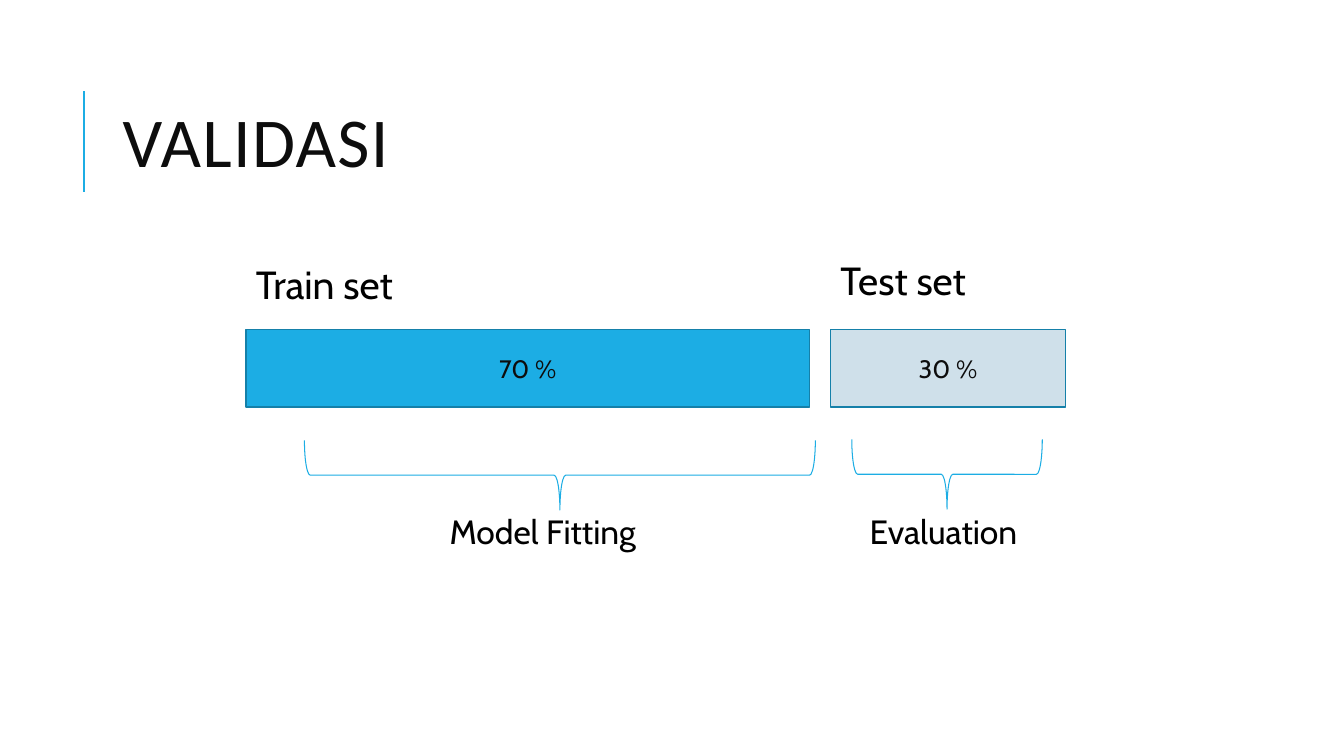
import pptx
import pptx.util
import pptx.dml.color
import pptx.enum.shapes
import pptx.enum.text
import pptx.oxml.xmlchemy

SHAPE = pptx.enum.shapes.MSO_SHAPE
ALIGN = pptx.enum.text.PP_ALIGN
ANCHOR = pptx.enum.text.MSO_ANCHOR
Pt = pptx.util.Pt


def color(value):
    return pptx.dml.color.RGBColor.from_string(value)


def apply(target, formats):
    for name, value in formats.items():
        setattr(target, name, value)


class SlideBuilder:
    """Hold the slide and its style, and draw each kind of element."""

    accent, outline, ink, black = "1CADE4", "1580A9", "0D0D0D", "000000"
    body_font, title_font = "Cabin", "Calibri"

    def __init__(self, deck):
        self.page = deck.slides.add_slide(deck.slide_layouts[6])

    def set_text(self, shape, text, size, ink, font=None, align=ALIGN.LEFT,
                 anchor=ANCHOR.TOP, line_spacing=None, tracking=None):
        apply(shape.text_frame, {"word_wrap": True, "vertical_anchor": anchor})
        para = shape.text_frame.paragraphs[0]
        apply(para, {"alignment": align, "line_spacing": line_spacing})
        span = para.add_run()
        span.text = text
        apply(span.font, {"name": font or self.body_font, "size": Pt(size)})
        span.font.color.rgb = color(ink)
        if tracking:
            span.font._element.set("spc", str(tracking * 100))

    def label(self, left, top, width, height, text, size, ink=black, **formats):
        box = self.page.shapes.add_textbox(Pt(left), Pt(top), Pt(width), Pt(height))
        self.set_text(box, text, size, ink, **formats)

    def shape(self, kind, left, top, width, height, line, weight, fill=None):
        shape = self.page.shapes.add_shape(kind, Pt(left), Pt(top), Pt(width), Pt(height))
        shape.shadow.inherit = False
        if fill:
            shape.fill.solid()
            shape.fill.fore_color.rgb = color(fill)
        else:
            shape.fill.background()
        shape.line.color.rgb = color(line)
        shape.line.width = Pt(weight)
        return shape

    def bar(self, left, width, fill, text):
        bar = self.shape(SHAPE.RECTANGLE, left, 235.4, width, 55.4, self.outline, 1.25, fill)
        self.set_text(bar, text, 18, self.ink, align=ALIGN.CENTER, anchor=ANCHOR.MIDDLE)

    def brace_below(self, left, top, span):
        depth = 49.7
        shift = (span - depth) / 2
        brace = self.shape(SHAPE.RIGHT_BRACE, left + shift, top - shift, depth, span,
                           self.accent, 0.75)
        brace.rotation = 90

    def rule(self, x, top, bottom):
        rule = self.page.shapes.add_connector(
            pptx.enum.shapes.MSO_CONNECTOR.STRAIGHT, Pt(x), Pt(bottom), Pt(x), Pt(top))
        rule.line.color.rgb = color(self.accent)
        rule.line.width = Pt(1.5)
        properties = rule._element.spPr
        properties.append(pptx.oxml.xmlchemy.OxmlElement("a:effectLst"))


def main():
    deck = pptx.Presentation()
    apply(deck, {"slide_width": Pt(960), "slide_height": Pt(540)})
    slide = SlideBuilder(deck)
    slide.rule(60, 64.8, 136.8)
    slide.label(80.6, 46.1, 765.4, 118.1, "VALIDASI", 50, slide.ink,
                font=slide.title_font, anchor=ANCHOR.MIDDLE, line_spacing=0.8, tracking=1)

    slide.bar(175.7, 402.5, slide.accent, "70 %")
    slide.label(175.7, 182.2, 185.8, 41, "Train set", 28)
    slide.brace_below(217.4, 314.6, 365)
    slide.label(278.6, 361.4, 218.2, 36, "Model Fitting", 24, align=ALIGN.CENTER)

    slide.bar(593.3, 167.8, "CFE0EA", "30 %")
    slide.label(593.3, 179.3, 110.2, 41, "Test set", 28)
    slide.brace_below(608.4, 313.9, 136.1)
    slide.label(601.2, 361.4, 145.4, 36, "Evaluation", 24, align=ALIGN.CENTER)
    deck.save("out.pptx")


if __name__ == "__main__":
    main()
